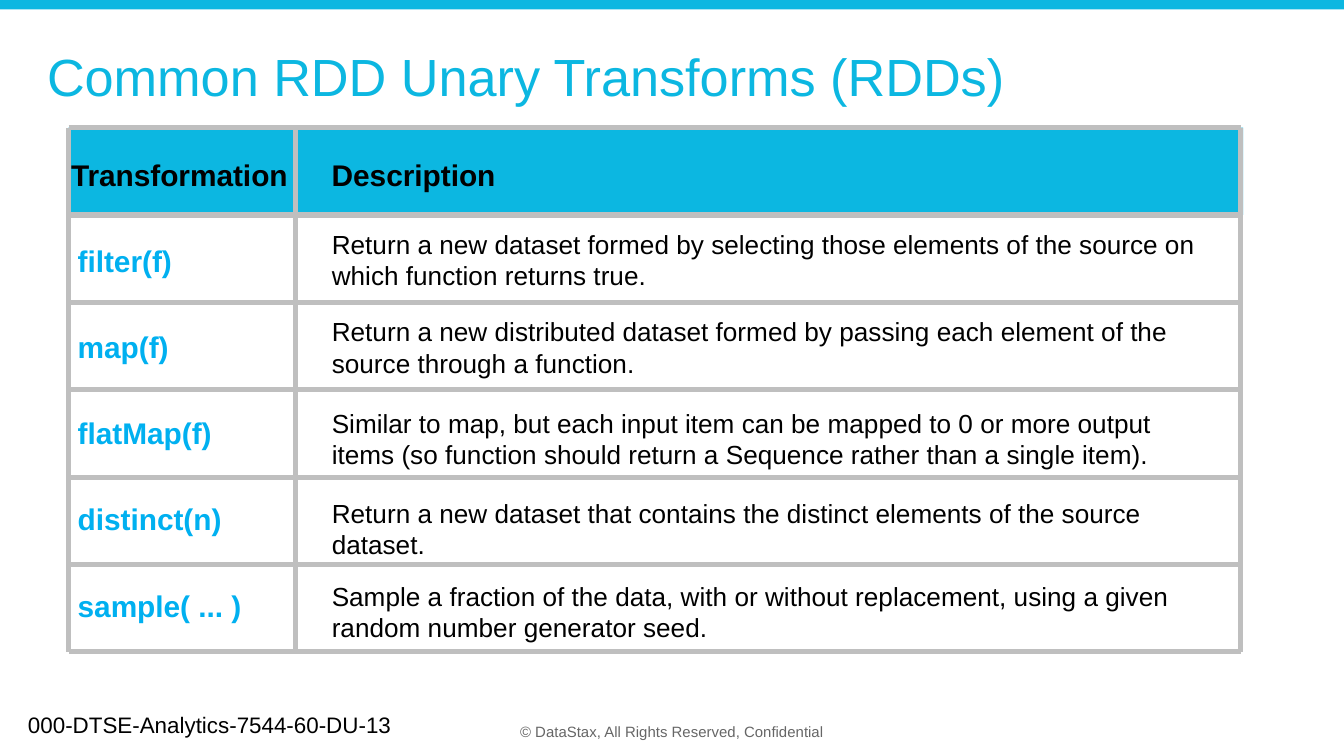
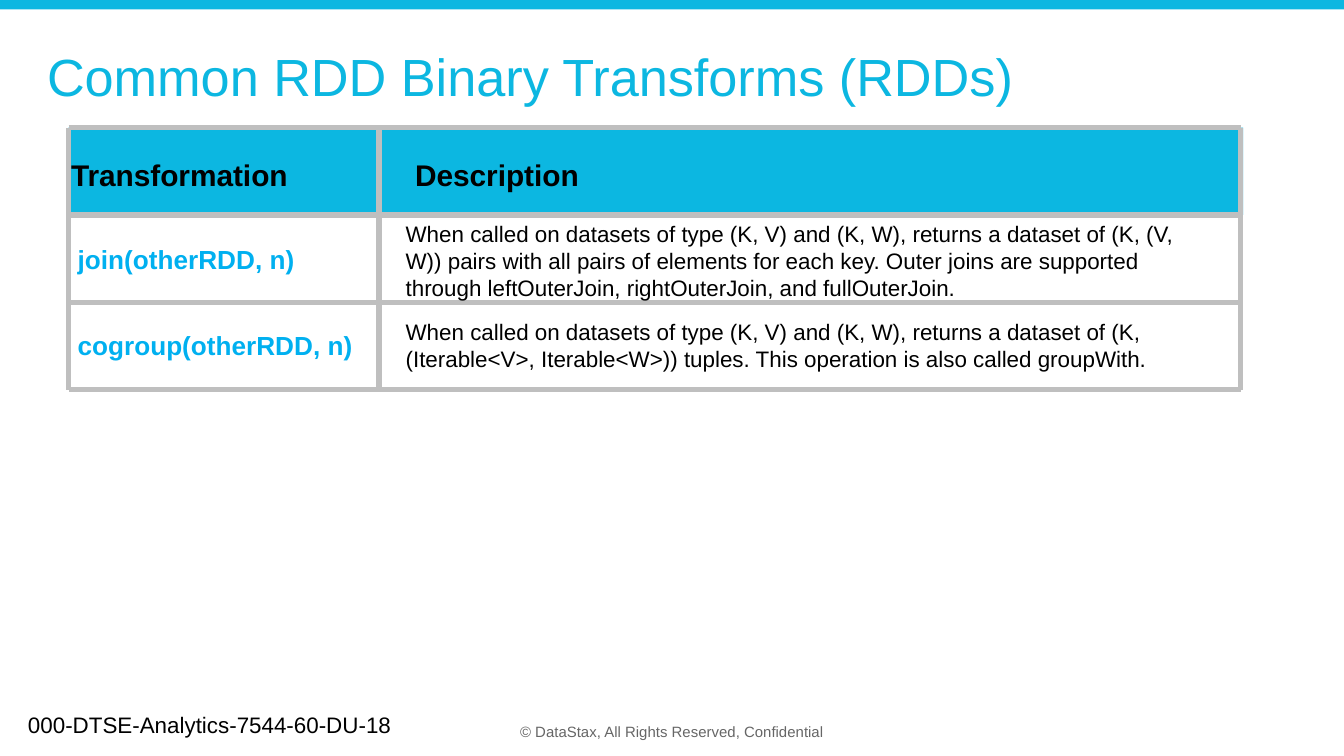
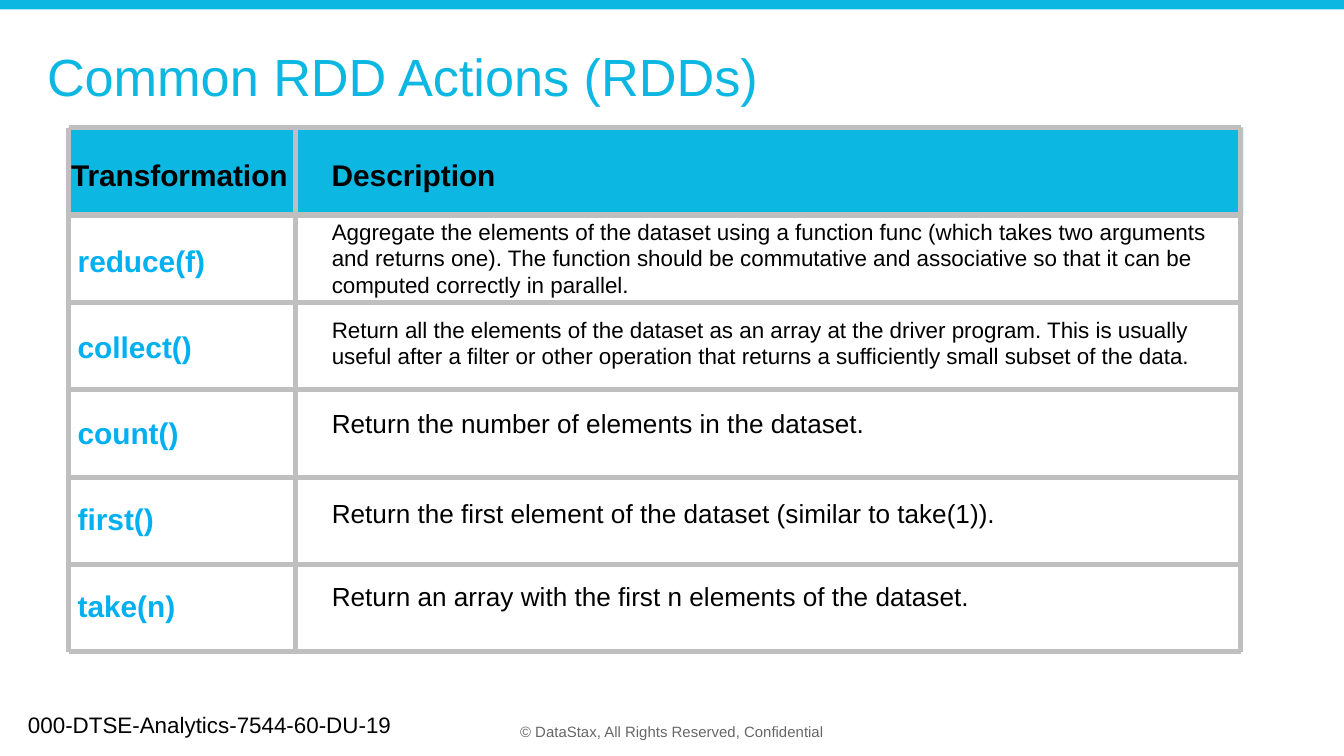
import pptx
import pptx.dml.color
import pptx.enum.shapes
import pptx.enum.text
import pptx.oxml.ns
import pptx.util
from lxml import etree

Inches = pptx.util.Inches
Pt = pptx.util.Pt
ANCHOR = pptx.enum.text.MSO_ANCHOR
ALIGN = pptx.enum.text.PP_ALIGN

FONT = "Arial"
CYAN = "0CB7E1"
LABEL = "00B0F0"
GRID = "BFBFBF"
BLACK = "000000"
GREY = "666666"

GRID_LEFT, GRID_TOP, GRID_WIDTH = 0.51, 0.95, 8.72
ROW_HEIGHT = 0.65
LABEL_STEP = 0.64

SLIDES = [
    {
        "title": "Common RDD Unary Transforms (RDDs)",
        "code": "000-DTSE-Analytics-7544-60-DU-13",
        "divider": 1.69, "text_left": 1.86, "text_width": 6.75, "label_size": 16,
        "rows": [
            ("filter(f)", 0.92, 14, 0.05, 0.57,
             "Return a new dataset formed by selecting those elements of the source on "
             "which function returns true."),
            ("map(f)", 0.89, 14, 0.05, 0.57,
             "Return a new distributed dataset formed by passing each element of the "
             "source through a function."),
            ("flatMap(f)", 1.22, 14, 0.08, 0.57,
             "Similar to map, but each input item can be mapped to 0 or more output "
             "items (so function should return a Sequence rather than a single item)."),
            ("distinct(n)", 1.29, 14, 0.1, 0.57,
             "Return a new dataset that contains the distinct elements of the source "
             "dataset."),
            ("sample( ... )", 1.44, 14, 0.07, 0.57,
             "Sample a fraction of the data, with or without replacement, using a given "
             "random number generator seed."),
        ],
    },
    {
        "title": "Common RDD Binary Transforms (RDDs)",
        "code": "000-DTSE-Analytics-7544-60-DU-18",
        "divider": 2.31, "text_left": 2.41, "text_width": 6.14, "label_size": 14,
        "rows": [
            ("join(otherRDD, n)", 1.82, 12, -0.01, 0.71,
             "When called on datasets of type (K, V) and (K, W), returns a dataset of "
             "(K, (V, W)) pairs with all pairs of elements for each key. Outer joins are "
             "supported through leftOuterJoin, rightOuterJoin, and fullOuterJoin."),
            ("cogroup(otherRDD, n)", 2.26, 12, 0.07, 0.5,
             "When called on datasets of type (K, V) and (K, W), returns a dataset of "
             "(K, (Iterable<V>, Iterable<W>)) tuples. This operation is also called "
             "groupWith."),
        ],
    },
    {
        "title": "Common RDD Actions (RDDs)",
        "code": "000-DTSE-Analytics-7544-60-DU-19",
        "divider": 1.69, "text_left": 1.86, "text_width": 6.75, "label_size": 16,
        "rows": [
            ("reduce(f)", 1.16, 12, -0.03, 0.71,
             "Aggregate the elements of the dataset using a function func (which takes "
             "two arguments and returns one). The function should be commutative and "
             "associative so that it can be computed correctly in parallel."),
            ("collect()", 1.06, 12, 0.05, 0.5,
             "Return all the elements of the dataset as an array at the driver program. "
             "This is usually useful after a filter or other operation that returns a "
             "sufficiently small subset of the data."),
            ("count()", 0.96, 14, 0.08, 0.34,
             "Return the number of elements in the dataset."),
            ("first()", 0.78, 14, 0.1, 0.34,
             "Return the first element of the dataset (similar to take(1))."),
            ("take(n)", 0.94, 14, 0.07, 0.34,
             "Return an array with the first n elements of the dataset."),
        ],
    },
]


def color(value):
    return pptx.dml.color.RGBColor.from_string(value)


def add_band(s, left, top, width, height):
    sp = s.shapes.add_shape(pptx.enum.shapes.MSO_SHAPE.RECTANGLE,
                            Inches(left), Inches(top), Inches(width), Inches(height))
    sp.shadow.inherit = False
    sp.fill.solid()
    sp.fill.fore_color.rgb = color(CYAN)
    sp.line.fill.background()


def add_line(s, x1, y1, x2, y2):
    cx = s.shapes.add_connector(pptx.enum.shapes.MSO_CONNECTOR.STRAIGHT,
                                Inches(x1), Inches(y1), Inches(x2), Inches(y2))
    cx.line.color.rgb = color(GRID)
    cx.line.width = Pt(2.75)
    etree.SubElement(cx._element.spPr, pptx.oxml.ns.qn("a:effectLst"))


def add_text(s, left, top, width, height, text, size, fill=BLACK, bold=False, wrap=True,
             anchor=ANCHOR.TOP, align=ALIGN.LEFT, margins=(0.1, 0.05, 0.1, 0.05)):
    sp = s.shapes.add_textbox(Inches(left), Inches(top), Inches(width), Inches(height))
    tf = sp.text_frame
    tf.word_wrap = wrap
    tf.vertical_anchor = anchor
    tf.margin_left, tf.margin_top, tf.margin_right, tf.margin_bottom = map(Inches, margins)
    tf.text = text
    p = tf.paragraphs[0]
    p.alignment = align
    font = p.runs[0].font
    font.name = FONT
    font.size = Pt(size)
    font.bold = bold
    font.color.rgb = color(fill)
    return p


def add_frame(s, title, code):
    add_band(s, 0, 0, 10, 0.07)
    add_text(s, 2.94, 5.26, 4.12, 0.3, "© DataStax, All Rights Reserved, Confidential", 8,
             GREY, anchor=ANCHOR.BOTTOM, align=ALIGN.CENTER)
    p = add_text(s, 0.35, 0.3, 9.15, 0.6, title, 28, CYAN, anchor=ANCHOR.BOTTOM,
                 margins=(0, 0.1, 0.1, 0.1))
    p.line_spacing = 0.9
    add_text(s, 0.11, 5.24, 4.69, 0.3, code, 12)


def add_grid(s, left, top, width, divider, row_count):
    add_band(s, left, top, width + 0.02, ROW_HEIGHT)
    bottom = top + row_count * ROW_HEIGHT
    for x in (left, left + divider, left + width):
        add_line(s, x, top, x, bottom)
    for i in range(row_count + 1):
        y = top + i * ROW_HEIGHT
        add_line(s, left, y, left + width, y)


def add_reference(s, left, top, width, content):
    rows = content["rows"]
    divider = content["divider"]
    add_grid(s, left, top, width, divider, len(rows) + 1)
    for x, w, heading in ((-0.08, 1.85, "Transformation"),
                          (divider + 0.17, 1.44, "Description")):
        add_text(s, left + x, top + 0.17, w, 0.37, heading, 16, bold=True, wrap=False)
    label_size = content["label_size"]
    label_height = 0.37 if label_size == 16 else 0.34
    for i, (label, label_width, size, offset, height, text) in enumerate(rows):
        add_text(s, left - 0.03, top + 0.81 + i * LABEL_STEP, label_width, label_height,
                 label, label_size, LABEL, bold=True, wrap=False)
        add_text(s, left + content["text_left"], top + (i + 1) * ROW_HEIGHT + offset,
                 content["text_width"], height, text, size)


def main():
    prs = pptx.Presentation()
    prs.slide_width = Inches(10)
    prs.slide_height = prs.slide_width * 9 // 16
    for content in SLIDES:
        s = prs.slides.add_slide(prs.slide_layouts[6])
        add_frame(s, content["title"], content["code"])
        add_reference(s, GRID_LEFT, GRID_TOP, GRID_WIDTH, content)
    prs.save("out.pptx")


if __name__ == "__main__":
    main()
